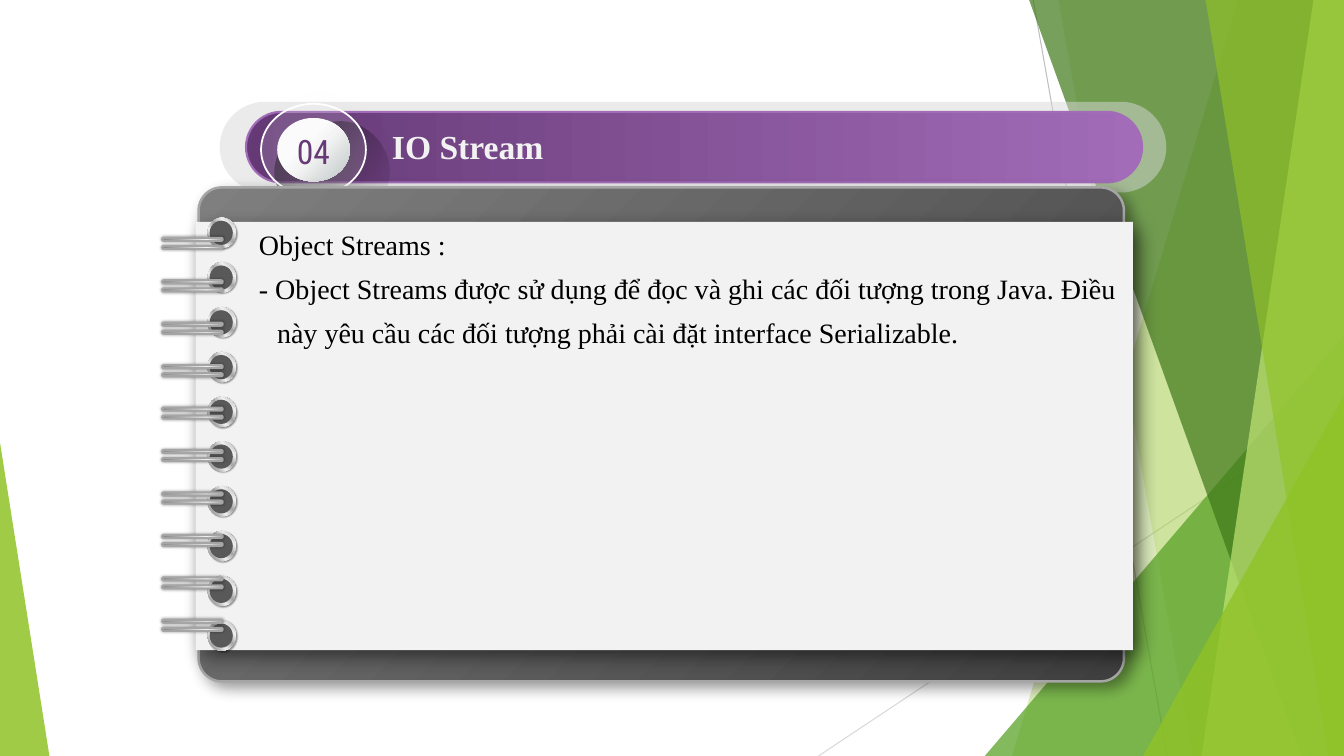
from lxml import etree
from pptx import Presentation
from pptx.dml.color import RGBColor
from pptx.enum.shapes import MSO_CONNECTOR, MSO_SHAPE
from pptx.enum.text import MSO_AUTO_SIZE, PP_ALIGN
from pptx.oxml.ns import qn
from pptx.util import Inches, Pt

ELLIPSE = MSO_SHAPE.OVAL
RECTANGLE = MSO_SHAPE.RECTANGLE
ROUNDED = MSO_SHAPE.ROUNDED_RECTANGLE
TRIANGLE = MSO_SHAPE.ISOSCELES_TRIANGLE
STRAIGHT = MSO_CONNECTOR.STRAIGHT
FIT_SHAPE = MSO_AUTO_SIZE.SHAPE_TO_FIT_TEXT
CENTER = PP_ALIGN.CENTER
LEFT = PP_ALIGN.LEFT

BLACK = RGBColor(0x00, 0x00, 0x00)
WHITE = RGBColor(0xFF, 0xFF, 0xFF)
PAPER = RGBColor(0xF2, 0xF2, 0xF2)
PEARL = RGBColor(0xF7, 0xF7, 0xF7)
STEEL = RGBColor(0xB8, 0xC0, 0xC0)
MIST = RGBColor(0xD8, 0xD8, 0xD8)
PALE_LINE = RGBColor(0xD9, 0xD9, 0xD9)
GRAY_LINE = RGBColor(0xBF, 0xBF, 0xBF)
SILVER = RGBColor(0xA5, 0xA5, 0xA5)
GRAY = RGBColor(0x7F, 0x7F, 0x7F)
HOLE = RGBColor(0x59, 0x59, 0x59)
SLATE = RGBColor(0x49, 0x49, 0x49)
CHARCOAL = RGBColor(0x3F, 0x3F, 0x3F)
PLUM = RGBColor(0x66, 0x3A, 0x77)
ORCHID = RGBColor(0xA2, 0x6C, 0xB8)
LIME = RGBColor(0x90, 0xC2, 0x26)
GREEN = RGBColor(0x54, 0xA0, 0x21)
FOREST = RGBColor(0x3F, 0x78, 0x19)
LIGHT_LIME = RGBColor(0xC0, 0xE4, 0x74)

CELL = Inches(0.1)
COLUMNS, ROWS = 133.33, 75

BAR_FILL = [(0, PLUM), (100, ORCHID)]
BADGE_FILL = [(0, WHITE), (43, PEARL), (100, STEEL)]
BADGE_RIM_FILL = [(0, WHITE), (39, WHITE), (53, PEARL), (100, STEEL)]
SHADE_FILL = [(0, BLACK), (17, BLACK, 46), (34, BLACK, 43), (51, BLACK, 20),
              (65, BLACK, 10), (78, BLACK, 5), (100, BLACK, 0)]
COVER_FILL = [(0, GRAY), (100, CHARCOAL)]
RING_FILL = [(0, WHITE), (17, SILVER), (35, PAPER), (55, SILVER), (75, PAPER), (100, SILVER)]
ROD_FILL = [(0, GRAY), (23, SILVER), (52, MIST), (74, WHITE), (100, SILVER)]

SHADE_START = (29.6, 20.4)
SHADE_CURVES = [
    ((27.8, 17.8), (27.1, 14.8), (29, 12.9)),
    ((30.9, 11), (34, 11.6), (36.5, 13.5)),
    ((39, 15.3), (38.9, 19), (37, 20.9)),
    ((35.1, 22.8), (31.3, 23), (29.6, 20.4)),
]


def curve_points(start, curves, steps=12):
    points = [start]
    for first, second, end in curves:
        origin = points[-1]
        for step in range(1, steps + 1):
            t = step / steps
            weights = ((1 - t) ** 3, 3 * t * (1 - t) ** 2, 3 * t * t * (1 - t), t ** 3)
            points.append(tuple(
                sum(weight * value for weight, value in zip(weights, values))
                for values in zip(origin, first, second, end)))
    return points


class SlideBuilder:
    font_name = "Times New Roman"

    def __init__(self, presentation):
        self.slide = presentation.slides.add_slide(presentation.slide_layouts[6])
        self.shapes = self.slide.shapes

    def cells(self, *values):
        return [round(value * CELL) for value in values]

    def add_color(self, parent, color, alpha=100):
        element = etree.SubElement(parent, qn("a:srgbClr"), val=str(color))
        etree.SubElement(element, qn("a:alpha"), val=str(alpha * 1000))

    def paint(self, shape, fill, alpha=100, angle=0, line=None, shadow=None):
        properties = shape._element.spPr
        if isinstance(fill, list):
            shape.fill.gradient()
            shape.fill.gradient_angle = -angle % 360
            stops = properties.find(qn("a:gradFill")).find(qn("a:gsLst"))
            for stop in list(stops):
                stops.remove(stop)
            for position, *color in fill:
                stop = etree.SubElement(stops, qn("a:gs"), pos=str(position * 1000))
                self.add_color(stop, *color)
        else:
            shape.fill.solid()
            shape.fill.fore_color.rgb = fill
            color = properties.find(qn("a:solidFill")).find(qn("a:srgbClr"))
            etree.SubElement(color, qn("a:alpha"), val=str(alpha * 1000))
        if line:
            shape.line.color.rgb = line[0]
            shape.line.width = Pt(line[1])
        else:
            shape.line.fill.background()
        shape.shadow.inherit = False
        if shadow:
            color, opacity, blur, distance, direction = shadow
            outer = etree.SubElement(
                properties.find(qn("a:effectLst")), qn("a:outerShdw"),
                blurRad=str(Pt(blur)), dist=str(Pt(distance)),
                dir=str(direction * 60000), algn="ctr", rotWithShape="0")
            self.add_color(outer, color, opacity)

    def preset(self, kind, box, fill, adjust=None, **style):
        shape = self.shapes.add_shape(kind, *self.cells(*box))
        if adjust is not None:
            shape.adjustments[0] = adjust
        self.paint(shape, fill, **style)

    def outline(self, points, fill, rotation=0, **style):
        corners = [self.cells(*point) for point in points]
        builder = self.shapes.build_freeform(*corners[0])
        builder.add_line_segments(corners[1:], close=True)
        shape = builder.convert_to_shape()
        shape.rotation = rotation
        self.paint(shape, fill, **style)

    def line(self, start, end, color):
        connector = self.shapes.add_connector(STRAIGHT, *self.cells(*start, *end))
        connector.line.color.rgb = color
        connector.line.width = Pt(0.75)
        etree.SubElement(connector._element.spPr, qn("a:effectLst"))

    def text(self, box, lines, size, color, font_name=font_name, bold=False,
             align=LEFT, spacing=1, hanging=None):
        frame = self.shapes.add_textbox(*self.cells(*box)).text_frame
        frame.word_wrap = True
        frame.auto_size = FIT_SHAPE
        frame.text = "\n".join(lines)
        for paragraph in frame.paragraphs:
            paragraph.alignment = align
            paragraph.line_spacing = spacing
            if hanging:
                margin, indent = self.cells(*hanging)
                properties = paragraph._p.get_or_add_pPr()
                properties.set("marL", str(margin))
                properties.set("indent", str(indent))
            font = paragraph.font
            font.name, font.size, font.bold = font_name, Pt(size), bold
            font.color.rgb = color


def draw_background(builder):
    builder.line((102.5, 0), (115.8, ROWS), GRAY_LINE)
    builder.line((COLUMNS, 40.3), (81.2, ROWS), PALE_LINE)

    def facet(top, bottom, color, alpha):
        points = [(top, 0), (COLUMNS, 0), (COLUMNS, ROWS), (bottom, ROWS)]
        builder.outline(points, color, alpha=alpha)

    def corner(left, top, width, apex, color, alpha):
        builder.preset(TRIANGLE, (left, top, width, ROWS - top), color, apex, alpha=alpha)

    facet(122.8, 100.4, LIME, 30)
    facet(105, 118.3, LIME, 20)
    corner(97.7, 33.3, 35.6, 1, GREEN, 72)
    facet(102.1, 129.1, FOREST, 70)
    facet(130.3, 119.2, LIGHT_LIME, 70)
    facet(119.6, 131.8, LIME, 65)
    corner(113.4, 39.3, 19.9, 1, LIME, 80)
    corner(0, 43.9, 4.9, 0, LIME, 85)


def draw_title(builder):
    builder.preset(ROUNDED, (21.8, 10.1, 93.9, 9), MIST, 0.5, alpha=50)
    builder.preset(ROUNDED, (24.4, 11.1, 88.9, 7), BAR_FILL, 0.5, line=(ORCHID, 1.5))
    builder.outline(curve_points(SHADE_START, SHADE_CURVES), SHADE_FILL, 315, angle=90)
    builder.preset(ELLIPSE, (28.4, 12.5, 6.1, 5.3), BADGE_FILL, angle=45,
                   shadow=(SLATE, 30, 11, 7, 45))
    builder.preset(ELLIPSE, (27.5, 11.7, 7.2, 6.3), BADGE_RIM_FILL, angle=45)
    builder.preset(ELLIPSE, (25.9, 10.3, 10.4, 9.1), WHITE, alpha=14,
                   line=(WHITE, 1.25), shadow=(BLACK, 11, 17, 7, 45))
    builder.text((28.1, 12.5, 6, 4.1), ["04"], 24, PLUM, "Roboto Condensed", align=CENTER)
    builder.text((37.9, 12, 39.2, 9.1), ["IO Stream"], 24, PAPER, bold=True)


def draw_notebook(builder):
    builder.preset(ROUNDED, (19.7, 18.6, 91.8, 49), COVER_FILL, 0.047, angle=45,
                   line=(SILVER, 1.75), shadow=(BLACK, 40, 11, 6, 45))
    builder.preset(RECTANGLE, (19.4, 22, 93, 42.5), PAPER, shadow=(BLACK, 50, 14, 7, 45))
    for index in range(10):
        center = 23.1 + 4.44 * index
        builder.preset(ELLIPSE, (20.6, center - 1.5, 2.8, 3), RING_FILL, angle=315,
                       shadow=(BLACK, 40, 1, 1, 45))
        builder.preset(ELLIPSE, (20.8, center - 1.2, 2.3, 2.4), HOLE)
    for index in range(10):
        for offset in (0, 0.8):
            top = 23.6 + 4.21 * index + offset
            builder.preset(ROUNDED, (16.1, top, 6, 0.3), ROD_FILL, 0.5,
                           line=(SILVER, 1.5), shadow=(BLACK, 40, 2, 0, 0))
    builder.text((22.7, 21.1, 91.1, 14.1), [
        "Object Streams :",
        "- Object Streams được sử dụng để đọc và ghi các đối tượng trong Java. "
        "Điều này yêu cầu các đối tượng phải cài đặt interface Serializable.",
    ], 20, BLACK, spacing=1.3, hanging=(3.8, -1.8))


def main():
    presentation = Presentation()
    presentation.slide_width = round(COLUMNS * CELL)
    presentation.slide_height = ROWS * CELL
    builder = SlideBuilder(presentation)
    draw_background(builder)
    draw_title(builder)
    draw_notebook(builder)
    presentation.save("out.pptx")


if __name__ == "__main__":
    main()
